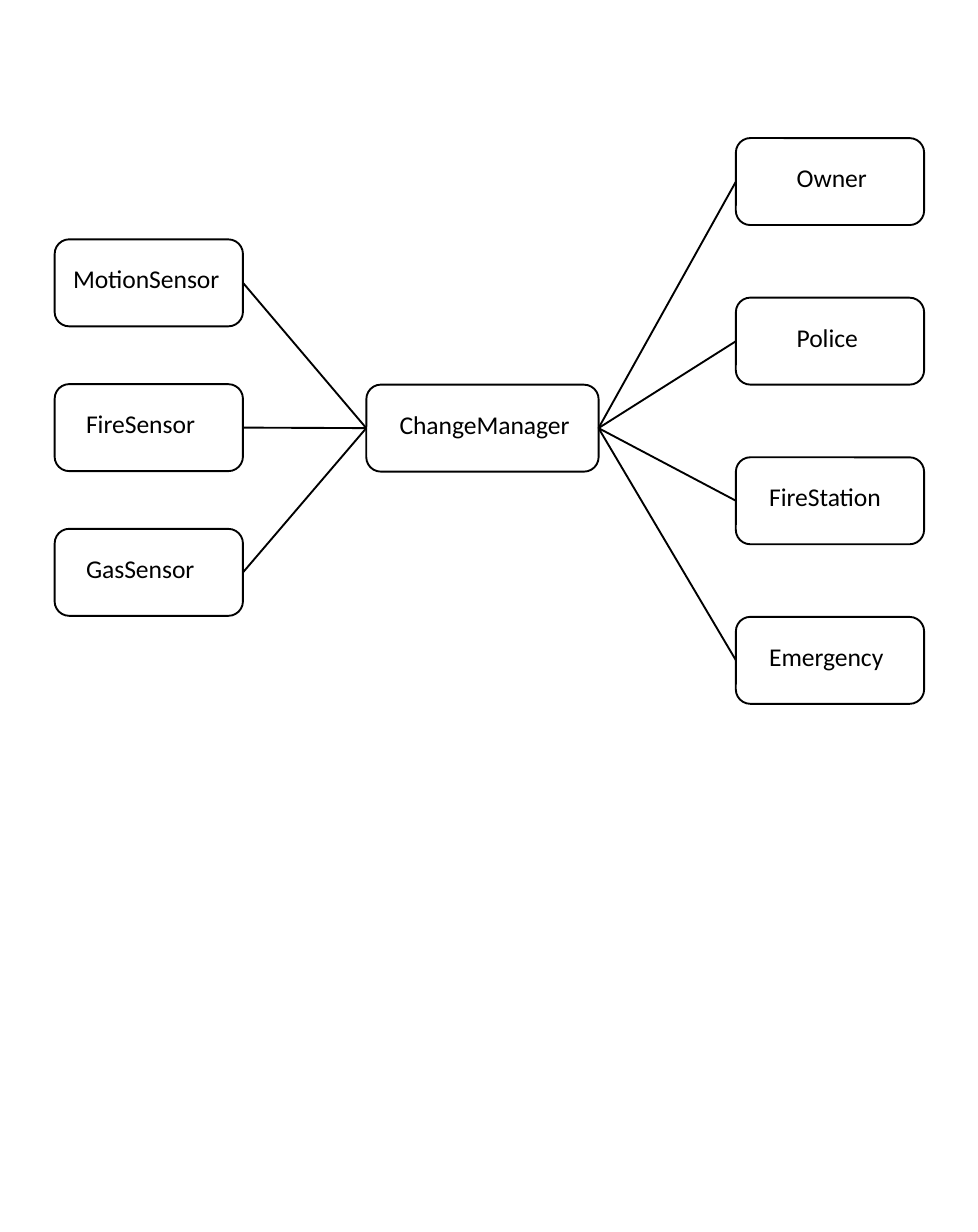
from pptx import Presentation
from pptx.dml.color import RGBColor
from pptx.enum.shapes import MSO_CONNECTOR, MSO_SHAPE
from pptx.enum.text import MSO_ANCHOR, PP_ALIGN
from pptx.oxml.ns import qn
from pptx.util import Pt
from lxml.etree import SubElement

SENSORS = [("MotionSensor", 7.2), ("FireSensor", 12.3), ("GasSensor", 12.3)]
MANAGER = ("ChangeManager", 13)
RESPONDERS = [("Owner", 23.8), ("Police", 23.8), ("FireStation", 13), ("Emergency", 13)]

SLIDE_SIZE = (382.3, 481.7)
NODE_WIDTH, MANAGER_WIDTH, NODE_HEIGHT = 73.6, 90.8, 34
SENSOR_COLUMN = {"left": 21.4, "top": 93.6, "step": 56.6}
RESPONDER_COLUMN = {"left": 287.7, "top": 54, "step": 62.4}
MANAGER_PLACE = (143.2, 150.4)
CORNER_INSET = 1.66
TEXT_TOP = 9.4
LEFT_SIDE, RIGHT_SIDE = 1, 3

THEME = {
    "ink": RGBColor(0, 0, 0),
    "line": Pt(0.75),
    "font": {"name": "Calibri", "size": Pt(10)},
}


def set_all(target, values):
    for key, value in values.items():
        setattr(target, key, value)


def draw_line(line):
    line.color.rgb = THEME["ink"]
    line.width = THEME["line"]


def add_node(slide, label, indent, left, top, width=NODE_WIDTH):
    node = slide.shapes.add_shape(
        MSO_SHAPE.FLOWCHART_ALTERNATE_PROCESS, Pt(left), Pt(top), Pt(width), Pt(NODE_HEIGHT)
    )
    node.shadow.inherit = False
    node.fill.background()
    draw_line(node.line)
    frame = node.text_frame
    set_all(frame, {
        "word_wrap": True,
        "vertical_anchor": MSO_ANCHOR.TOP,
        "margin_left": Pt(indent - CORNER_INSET),
        "margin_top": Pt(TEXT_TOP - CORNER_INSET),
        "margin_right": 0,
        "margin_bottom": 0,
    })
    paragraph = frame.paragraphs[0]
    paragraph.alignment = PP_ALIGN.LEFT
    run = paragraph.add_run()
    run.text = label
    set_all(run.font, THEME["font"])
    run.font.color.rgb = THEME["ink"]
    return node


def add_column(slide, members, column):
    return [
        add_node(slide, label, indent, column["left"], column["top"] + row * column["step"])
        for row, (label, indent) in enumerate(members)
    ]


def join(slide, manager, manager_side, node, node_side):
    link = slide.shapes.add_connector(MSO_CONNECTOR.STRAIGHT, 0, 0, 0, 0)
    link.begin_connect(manager, manager_side)
    link.end_connect(node, node_side)
    draw_line(link.line)
    SubElement(link._element.spPr, qn("a:effectLst"))


def main():
    deck = Presentation()
    deck.slide_width, deck.slide_height = map(Pt, SLIDE_SIZE)
    slide = deck.slides.add_slide(deck.slide_layouts[6])
    sensors = add_column(slide, SENSORS, SENSOR_COLUMN)
    responders = add_column(slide, RESPONDERS, RESPONDER_COLUMN)
    manager = add_node(slide, *MANAGER, *MANAGER_PLACE, MANAGER_WIDTH)
    for sensor in sensors:
        join(slide, manager, LEFT_SIDE, sensor, RIGHT_SIDE)
    for responder in responders:
        join(slide, manager, RIGHT_SIDE, responder, LEFT_SIDE)
    deck.save("out.pptx")


if __name__ == "__main__":
    main()
